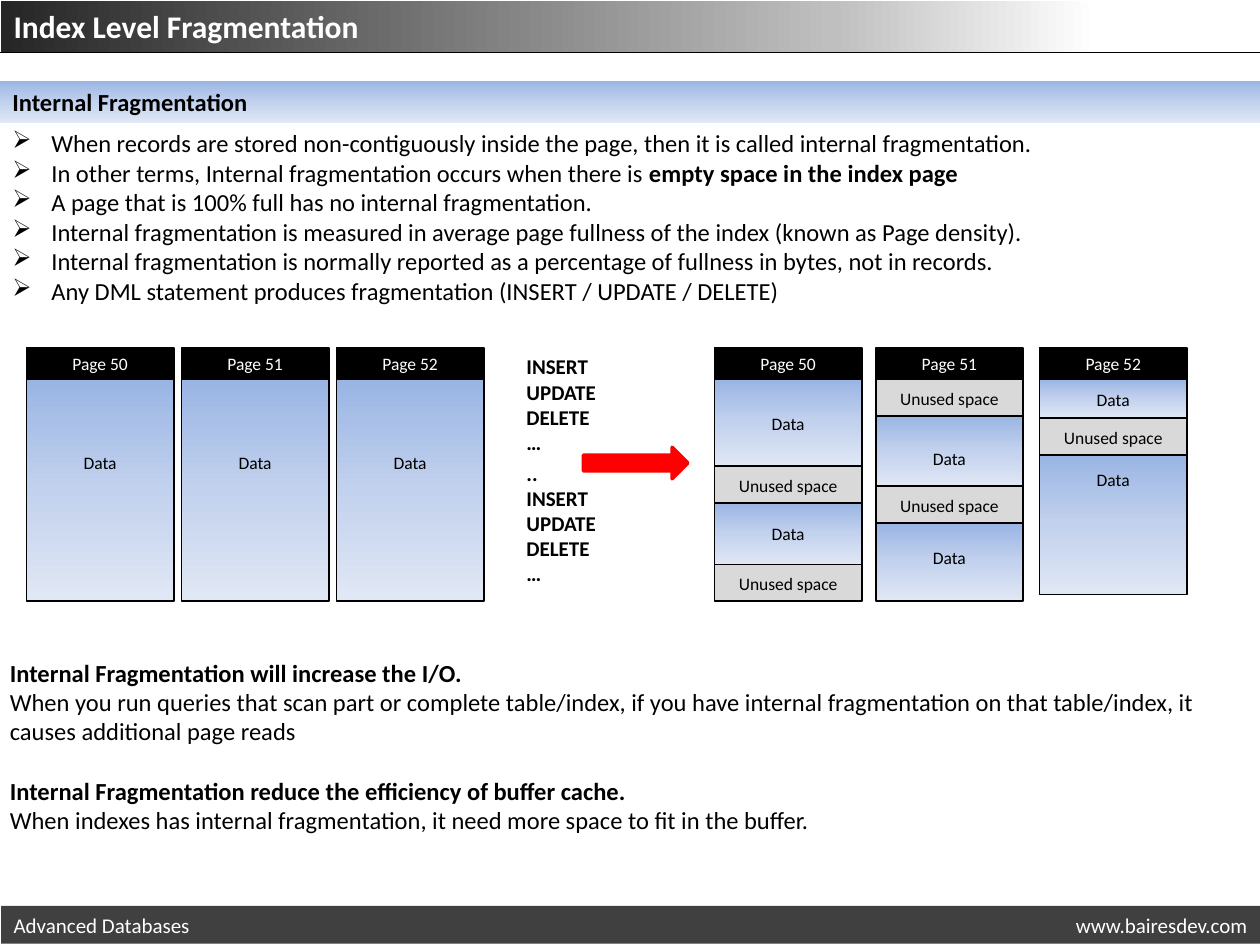
from lxml.etree import SubElement
from pptx import Presentation
from pptx.dml.color import RGBColor
from pptx.enum.shapes import MSO_CONNECTOR, MSO_SHAPE
from pptx.enum.text import MSO_ANCHOR as Anchor, PP_ALIGN as Align
from pptx.oxml.ns import qn
from pptx.util import Inches, Pt

WIDTH, HEIGHT = 10, 7.5
BLACK, WHITE, GREY, DARK, RED = "000000", "FFFFFF", "D9D9D9", "404040", "FF0000"
BLUE_FADE = [(0, "9AB5E4"), (50, "C2D1ED"), (100, "E1E8F5")]
TITLE_FADE = [(0, "262626"), (66, "BFBFBF"), (87, "FFFFFF")]

STACK_TOP, STACK_WIDTH, HEAD_HEIGHT = 2.76, 1.17, 0.25
LABEL_WIDTH, LABEL_HEIGHT = 1, 0.27
UNUSED = ("Unused space", 0.29, 0.02)
FULL = [("Data", 1.76, 0.53)]
STACKS = [
    (0.21, "Page 50", FULL),
    (1.44, "Page 51", FULL),
    (2.67, "Page 52", FULL),
    (5.67, "Page 50", [("Data", 0.69, 0.22), UNUSED, ("Data", 0.49, 0.11), UNUSED]),
    (6.95, "Page 51", [UNUSED, ("Data", 0.56, 0.21), UNUSED, ("Data", 0.62, 0.14)]),
    (8.25, "Page 52", [("Data", 0.31, 0.03), UNUSED, ("Data", 1.11, 0.06)]),
]

BULLETS = [
    [("When records are stored non-contiguously inside the page, then it is called internal fragmentation.", False)],
    [("In other terms, Internal fragmentation occurs when there is ", False),
     ("empty space in the index page", True)],
    [("A page that is 100% full has no internal fragmentation.", False)],
    [("Internal fragmentation is measured in average page fullness of the index (known as Page density).", False)],
    [("Internal fragmentation is normally reported as a percentage of fullness in bytes, not in records.", False)],
    [("Any DML statement produces fragmentation (INSERT / UPDATE / DELETE)", False)],
]
EFFECTS = [
    [("Internal Fragmentation will increase the I/O.", True)],
    [("When you run queries that scan part or complete table/index, if you have internal fragmentation "
      "on that table/index, it causes additional page reads", False)],
    [("Internal Fragmentation reduce the efficiency of buffer cache.", True)],
    [("When indexes has internal fragmentation, it need more space to fit in the buffer.", False)],
]
STATEMENTS = ["INSERT", "UPDATE", "DELETE", "…"]


def color(value):
    return RGBColor.from_string(value)


def inches(box):
    return [Inches(length) for length in box]


def paint_fade(shape, stops, angle):
    shape.fill.gradient()
    shape.fill.gradient_angle = (360 - angle) % 360
    stop_list = shape.element.spPr.find(".//" + qn("a:gsLst"))
    stop_list.clear()
    for position, value in stops:
        stop = SubElement(stop_list, qn("a:gs"), pos=str(position * 1000))
        SubElement(stop, qn("a:srgbClr"), val=value)


def add_block(shapes, box, fill, line=None, weight=1, angle=90, kind=MSO_SHAPE.RECTANGLE):
    shape = shapes.add_shape(kind, *inches(box))
    shape.shadow.inherit = False
    if isinstance(fill, list):
        paint_fade(shape, fill, angle)
    else:
        shape.fill.solid()
        shape.fill.fore_color.rgb = color(fill)
    if line:
        shape.line.color.rgb = color(line)
        shape.line.width = Pt(weight)
    else:
        shape.line.fill.background()
    return shape


def write(shape, paragraphs, size, ink=BLACK, align=Align.LEFT, anchor=Anchor.TOP):
    frame = shape.text_frame
    frame.word_wrap = True
    frame.vertical_anchor = anchor
    for index, spans in enumerate(paragraphs):
        para = frame.add_paragraph() if index else frame.paragraphs[0]
        para.alignment = align
        for text, bold in spans:
            span = para.add_run()
            span.text = text
            span.font.name = "Calibri"
            span.font.size = Pt(size)
            span.font.bold = bold
            span.font.color.rgb = color(ink)
    return frame.paragraphs


def add_text(shapes, box, paragraphs, size, ink=BLACK, align=Align.LEFT):
    return write(shapes.add_textbox(*inches(box)), paragraphs, size, ink, align)


def add_bar(shapes, box, fill, text, size, ink, bold=False, align=Align.LEFT, angle=90):
    bar = add_block(shapes, box, fill, angle=angle)
    write(bar, [[(text, bold)]], size, ink, align, Anchor.MIDDLE)


def add_title(page, box):
    left, top, width, height = box
    group = page.shapes.add_group_shape()
    add_bar(group.shapes, box, TITLE_FADE, "Index Level Fragmentation", 18, WHITE, True, angle=0)
    rule_top = top + height + 0.01
    rule = group.shapes.add_connector(
        MSO_CONNECTOR.STRAIGHT, *inches((0, rule_top, left + width, rule_top)))
    rule.line.color.rgb = color(BLACK)
    rule.line.width = Pt(0.5)
    SubElement(rule.element.spPr, qn("a:effectLst"))


def add_bullets(page, box):
    for para in add_text(page.shapes, box, BULLETS, 14):
        props = para._p.get_or_add_pPr()
        indent = Inches(0.31)
        props.set("marL", str(indent))
        props.set("indent", str(-indent))
        SubElement(props, qn("a:buChar"), char="➢")


def add_cell(shapes, box, fill, label, offset, ink=BLACK):
    left, top, width, height = box
    add_block(shapes, box, fill, BLACK)
    label_box = (left + (width - LABEL_WIDTH) / 2, top + offset, LABEL_WIDTH, LABEL_HEIGHT)
    add_text(shapes, label_box, [[(label, False)]], 10, ink, Align.CENTER)


def add_stack(page, left, top, heading, cells):
    shapes = page.shapes.add_group_shape().shapes
    add_cell(shapes, (left, top, STACK_WIDTH, HEAD_HEIGHT), BLACK, heading, -0.01, WHITE)
    top += HEAD_HEIGHT
    for label, height, offset in cells:
        fill = BLUE_FADE if label == "Data" else GREY
        add_cell(shapes, (left, top, STACK_WIDTH, height), fill, label, offset)
        top += height


def add_statements(page, box):
    left, top, width, height = box
    for start, share, lines in ((0, 0.46, STATEMENTS), (0.43, 0.57, [".."] + STATEMENTS)):
        part = (left, top + start * height, width, share * height)
        add_text(page.shapes, part, [[(line, True)] for line in lines], 12)
    arrow = (left + 0.55, top + 0.79, 0.83, 0.25)
    add_block(page.shapes, arrow, RED, RED, 2, kind=MSO_SHAPE.RIGHT_ARROW)


def add_effects(page, box):
    paras = add_text(page.shapes, box, EFFECTS, 14)
    paras[2].space_before = Pt(17)


def add_footer(page, box):
    left, top, width, height = box
    shapes = page.shapes.add_group_shape().shapes
    split = 0.815 * width
    add_bar(shapes, (left + split, top, width - split, height), DARK,
            "www.bairesdev.com", 12, WHITE, align=Align.RIGHT)
    add_bar(shapes, (left, top, split, height), DARK, "Advanced Databases", 12, WHITE)


def main():
    deck = Presentation()
    deck.slide_width, deck.slide_height = Inches(WIDTH), Inches(HEIGHT)
    page = deck.slides.add_slide(deck.slide_layouts[6])
    add_bullets(page, (0, 0.97, WIDTH, 1.51))
    for left, heading, cells in STACKS:
        add_stack(page, left, STACK_TOP, heading, cells)
    add_statements(page, (4.08, STACK_TOP, 0.82, 1.96))
    add_effects(page, (-0.02, 5.17, WIDTH, 1.51))
    add_bar(page.shapes, (0, 0.64, WIDTH, 0.34), BLUE_FADE, "Internal Fragmentation", 14, BLACK, True)
    add_footer(page, (0.01, 7.19, WIDTH - 0.01, 0.3))
    add_title(page, (0.01, 0.01, WIDTH, 0.4))
    deck.save("out.pptx")


if __name__ == "__main__":
    main()
